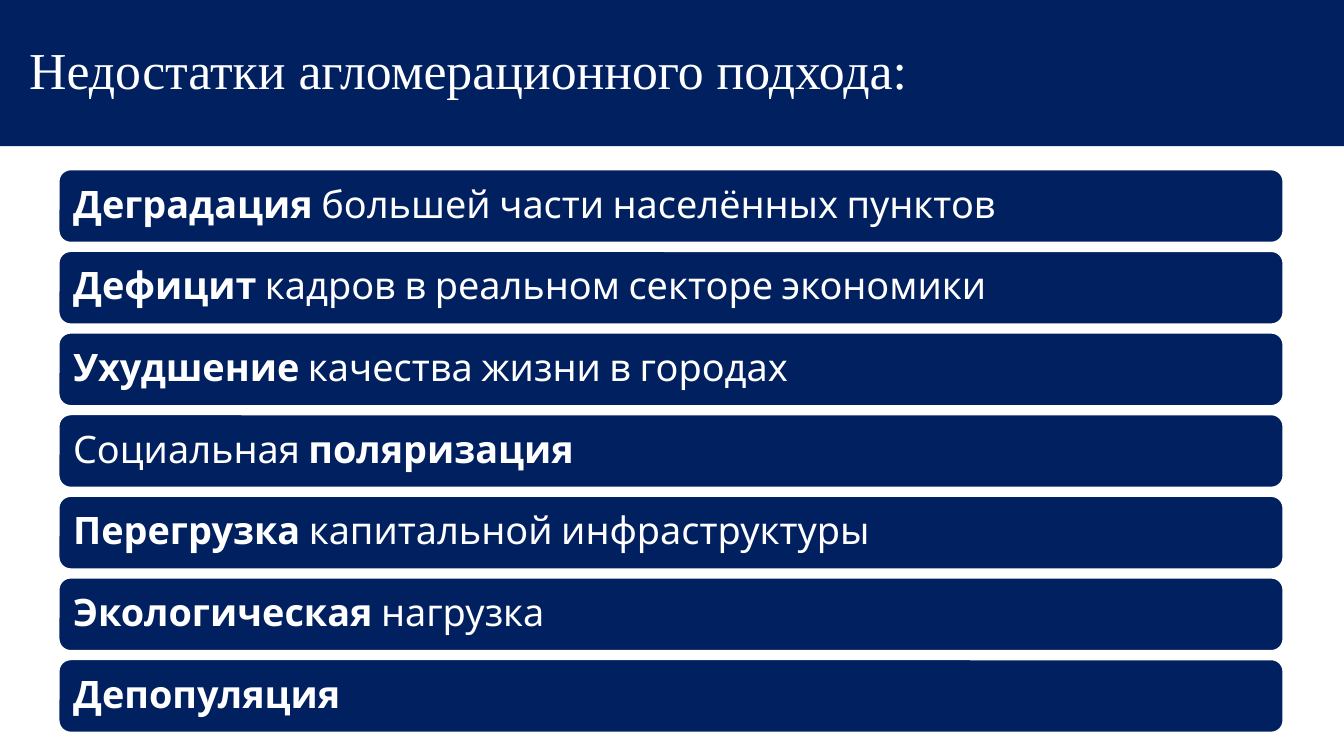
from pptx import Presentation
from pptx.dml.color import RGBColor
from pptx.enum.shapes import MSO_SHAPE
from pptx.enum.text import MSO_ANCHOR, PP_ALIGN
from pptx.util import Inches, Pt

RECT, ROUNDED = MSO_SHAPE.RECTANGLE, MSO_SHAPE.ROUNDED_RECTANGLE
MIDDLE, LEFT = MSO_ANCHOR.MIDDLE, PP_ALIGN.LEFT
WIDTH, HEIGHT = 13.33, 7.5
NAVY, WHITE = "002060", "FFFFFF"
TITLE = "Недостатки агломерационного подхода:"
DRAWBACKS = [
    [("Деградация", True), (" большей части населённых пунктов", False)],
    [("Дефицит", True), (" кадров в реальном секторе экономики", False)],
    [("Ухудшение", True), (" качества жизни в городах", False)],
    [("Социальная ", False), ("поляризация", True)],
    [("Перегрузка", True), (" капитальной инфраструктуры", False)],
    [("Экологическая", True), (" нагрузка", False)],
    [("Депопуляция", True)],
]


def color(value):
    """Return the colour for a hex string."""
    return RGBColor.from_string(value)


def add_run(p, text, font, size, bold=False, fill=WHITE):
    """Append a formatted run to a paragraph."""
    r = p.add_run()
    r.text = text
    r.font.name, r.font.size, r.font.bold = font, Pt(size), bold
    r.font.color.rgb = color(fill)


def add_panel(s, kind, box, inset, outline=None):
    """Draw a navy panel and return its first paragraph."""
    sp = s.shapes.add_shape(kind, *(Inches(v) for v in box))
    sp.shadow.inherit = False
    sp.fill.solid()
    sp.fill.fore_color.rgb = color(NAVY)
    if outline:
        sp.line.color.rgb = color(outline)
        sp.line.width = Pt(1.5)
    else:
        sp.line.fill.background()
    tf = sp.text_frame
    tf.word_wrap = True
    tf.vertical_anchor = MIDDLE
    tf.margin_left = Inches(inset)
    tf.margin_right = tf.margin_top = tf.margin_bottom = Inches(0.1)
    p = tf.paragraphs[0]
    p.alignment, p.line_spacing = LEFT, 0.9
    return p


def add_header(s, box):
    """Draw the title band."""
    p = add_panel(s, RECT, box, 0.29)
    add_run(p, TITLE, "Times New Roman", 37)


def add_drawbacks(s, box):
    """Stack one bar per drawback, sharing the height of the box."""
    left, top, width, height = box
    pitch = height / len(DRAWBACKS)
    for i, parts in enumerate(DRAWBACKS):
        bar = left, top + i * pitch, width, 0.9 * pitch
        p = add_panel(s, ROUNDED, bar, 0.11, WHITE)
        for text, bold in parts:
            add_run(p, text, "Cabin", 27, bold)


def main():
    """Build and save the slide."""
    prs = Presentation()
    prs.slide_width, prs.slide_height = Inches(WIDTH), Inches(HEIGHT)
    s = prs.slides.add_slide(prs.slide_layouts[6])
    add_drawbacks(s, (0.58, 1.68, 12.15, 5.67))
    add_header(s, (0, 0, WIDTH, 1.45))
    prs.save("out.pptx")


if __name__ == "__main__":
    main()
